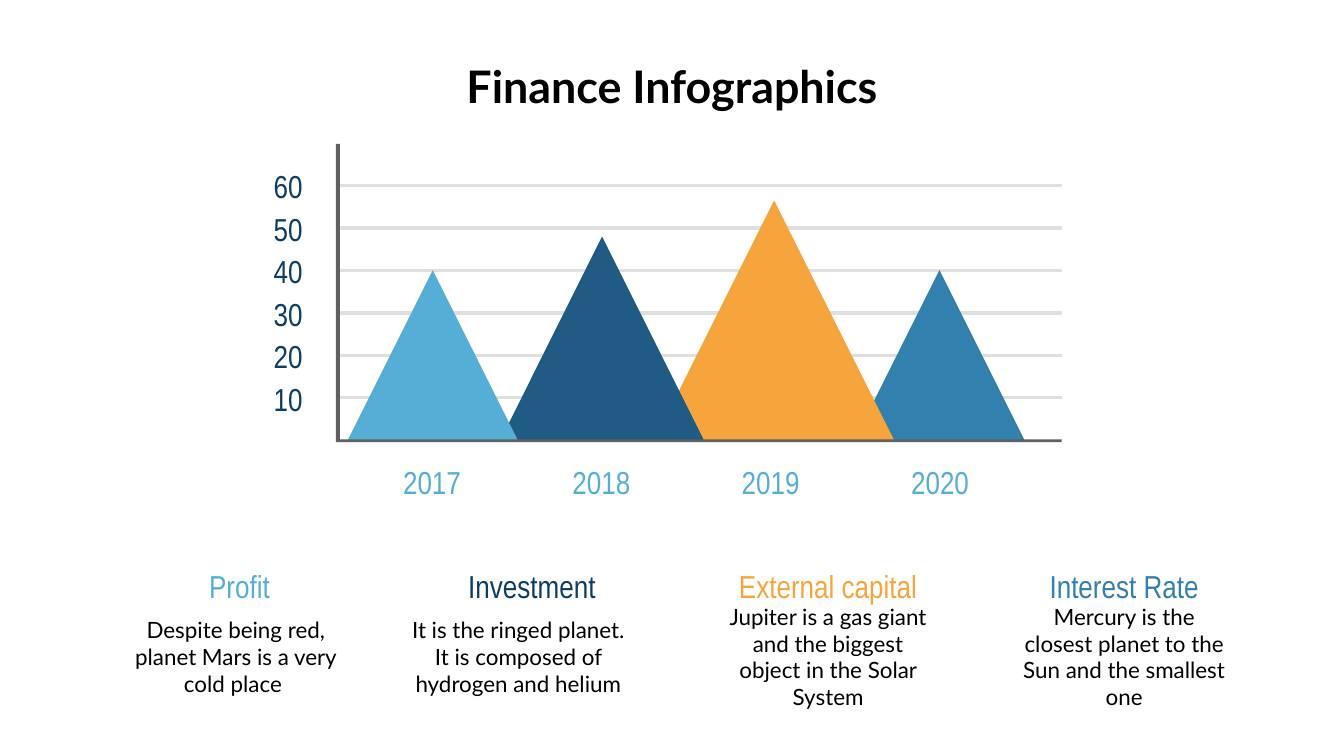
"""Build a finance slide with a peak chart and four captions."""
from dataclasses import dataclass

from lxml.etree import SubElement
from pptx import Presentation
from pptx.dml.color import RGBColor
from pptx.enum.shapes import MSO_CONNECTOR, MSO_SHAPE
from pptx.enum.text import MSO_ANCHOR, PP_ALIGN
from pptx.oxml.ns import qn
from pptx.util import Inches, Pt


@dataclass(frozen=True)
class Theme:
    black: str = "000000"
    navy: str = "0D3E65"
    sky: str = "54AED6"
    deep: str = "1F5B84"
    gold: str = "F6A53C"
    blue: str = "3280AD"
    grid: str = "DFDFDF"
    axis: str = "606060"
    sans: str = "Lato"
    narrow: str = "Arial Narrow"
    title: int = 24
    label: int = 17
    body: int = 12
    rule: float = 1.8


THEME = Theme()
WIDTH = Inches(10)
LEFT, RIGHT, TOP, BASE = 2.5, 7.9, 1.07, 3.28
STEP = (2.95 - 1.37) / 5
GAP = (7.31 - 0.7) / 3
PEAKS = [
    ("2017", 3.22, 1.27, THEME.sky),
    ("2018", 4.48, 1.52, THEME.deep),
    ("2019", 5.76, 1.79, THEME.gold),
    ("2020", 6.99, 1.27, THEME.blue),
]
NOTES = [
    (" Profit", THEME.sky, 0.3,
     "Despite being red, planet Mars is a very cold place "),
    ("Investment", THEME.navy, 0.1,
     "It is the ringed planet. It is composed of hydrogen and helium"),
    ("External capital", THEME.gold, 0.3,
     "Jupiter is a gas giant and the biggest object in the Solar System"),
    ("Interest Rate", THEME.blue, 0.3,
     "Mercury is the closest planet to the Sun and the smallest one"),
]


def add_text(slide, text, box, size, face, color, bold=False,
             align=PP_ALIGN.CENTER, anchor=MSO_ANCHOR.MIDDLE, pads=(0.1, 0.1)):
    frame = slide.shapes.add_textbox(*map(Inches, box)).text_frame
    frame.word_wrap = True
    frame.vertical_anchor = anchor
    frame.margin_left, frame.margin_right = map(Inches, pads)
    frame.margin_top = frame.margin_bottom = Inches(0.1)
    frame.text = text
    line = frame.paragraphs[0]
    line.alignment = align
    font = line.runs[0].font
    font.size, font.name, font.bold = Pt(size), face, bold
    font.color.rgb = RGBColor.from_string(color)


def paint(shape, color):
    shape.shadow.inherit = False
    shape.fill.solid()
    shape.fill.fore_color.rgb = RGBColor.from_string(color)
    shape.line.fill.background()


def add_rule(slide, y):
    rule = slide.shapes.add_connector(
        MSO_CONNECTOR.STRAIGHT, Inches(LEFT), Inches(y), Inches(RIGHT), Inches(y))
    rule.line.width = Pt(THEME.rule)
    rule.line.color.rgb = RGBColor.from_string(THEME.grid)
    SubElement(rule._element.spPr, qn("a:effectLst"))


def add_peak(slide, mid, size, color):
    peak = slide.shapes.add_shape(
        MSO_SHAPE.ISOSCELES_TRIANGLE, Inches(mid - size / 2),
        Inches(BASE - size), Inches(size), Inches(size))
    paint(peak, color)


def add_axis(slide):
    low, high, inner = BASE + 0.01, BASE - 0.01, LEFT + 0.03
    points = [(LEFT, low), (RIGHT, low), (RIGHT, high), (inner, high), (inner, TOP)]
    pen = slide.shapes.build_freeform(Inches(LEFT), Inches(TOP))
    pen.add_line_segments([(Inches(x), Inches(y)) for x, y in points])
    paint(pen.convert_to_shape(), THEME.axis)


def add_chart(slide):
    for row in range(6):
        add_rule(slide, 1.38 + row * STEP)
    for _, mid, size, color in reversed(PEAKS):
        add_peak(slide, mid, size, color)
    add_axis(slide)
    for col, (year, *_) in enumerate(PEAKS):
        add_text(slide, year, (2.63 + col * 1.26, 3.41, 1.17, 0.35),
                 THEME.label, THEME.narrow, THEME.sky)
    for row in range(6):
        add_text(slide, str(60 - row * 10), (1.6, 1.21 + row * STEP, 0.75, 0.35),
                 THEME.label, THEME.narrow, THEME.navy, align=PP_ALIGN.RIGHT)


def add_note(slide, x, head, color, pad, body):
    add_text(slide, body, (x, 4.61, 2.11, 0.55), THEME.body, THEME.sans,
             THEME.black, pads=(pad, 0.3))
    add_text(slide, head, (x, 4.12, 2.11, 0.47), THEME.label, THEME.narrow,
             color, anchor=MSO_ANCHOR.TOP)


def main():
    deck = Presentation()
    deck.slide_width, deck.slide_height = WIDTH, WIDTH * 9 // 16
    slide = deck.slides.add_slide(deck.slide_layouts[6])
    add_text(slide, "Finance Infographics", (0.2, 0.34, 9.6, 0.63),
             THEME.title, THEME.sans, THEME.black, bold=True, anchor=MSO_ANCHOR.TOP)
    add_chart(slide)
    for col, note in enumerate(NOTES):
        add_note(slide, 0.7 + col * GAP, *note)
    deck.save("out.pptx")


if __name__ == "__main__":
    main()
